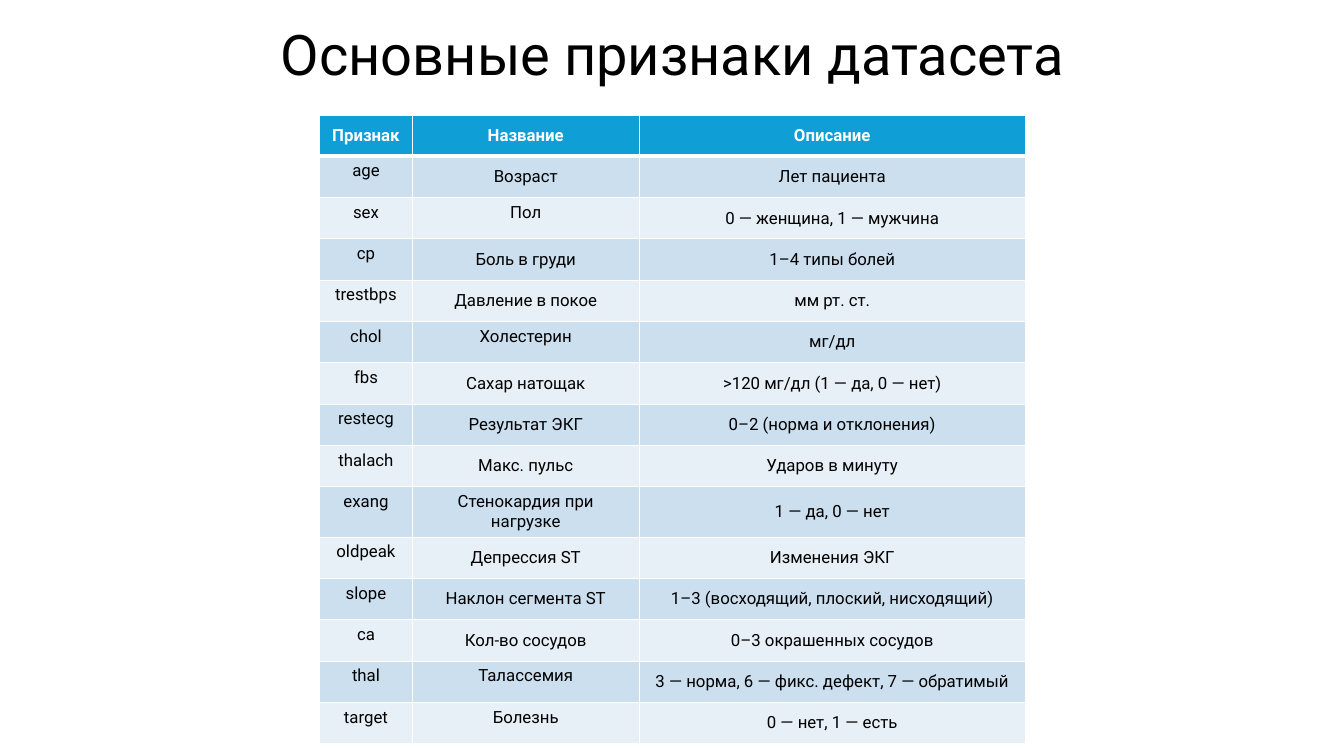
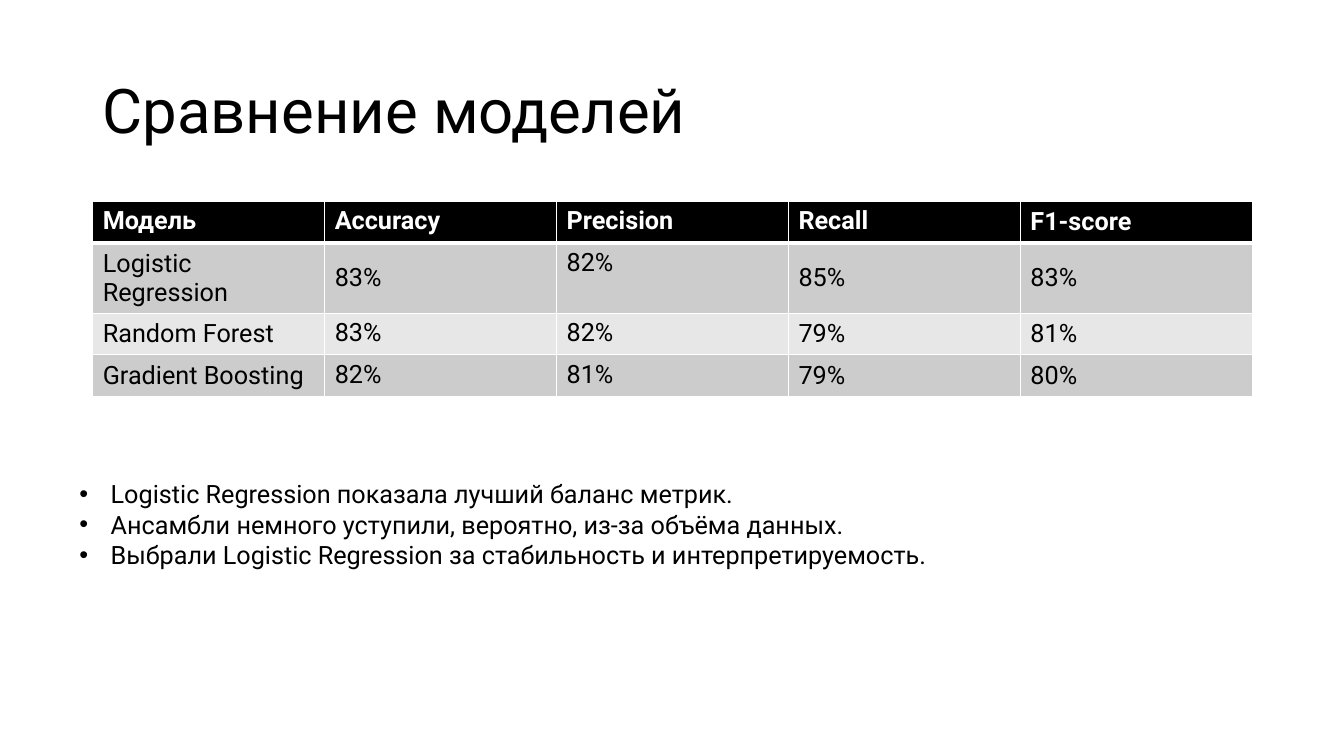
"""Build two slides: the dataset features and the model comparison."""
from dataclasses import dataclass

import lxml.etree
import pptx
import pptx.dml.color
import pptx.enum.text
import pptx.oxml.ns
import pptx.presentation
import pptx.slide
import pptx.table
import pptx.text.text
import pptx.util

Inches = pptx.util.Inches
Align = pptx.enum.text.PP_ALIGN
Anchor = pptx.enum.text.MSO_ANCHOR


@dataclass(frozen=True)
class Theme:
    font: str = "Roboto"
    text: str = "000000"
    inverse: str = "FFFFFF"
    title_size: int = 44
    compact_title_size: int = 40
    body_size: int = 18
    compact_size: int = 12
    border_width: float = 1
    header_rule_width: float = 3


@dataclass(frozen=True)
class Palette:
    header: str
    bands: tuple[str, str]


@dataclass(frozen=True)
class Box:
    left: float
    top: float
    width: float
    height: float

    def lengths(self) -> tuple[pptx.util.Length, ...]:
        return tuple(Inches(value) for value in (self.left, self.top, self.width, self.height))


@dataclass(frozen=True)
class Title:
    text: str
    top: float
    size: int
    align: Align


@dataclass(frozen=True)
class Grid:
    left: float
    top: float
    columns: tuple[float, ...]
    rows: tuple[tuple[str, ...], ...]
    top_anchored: frozenset[tuple[int, int]]
    size: int
    align: Align
    palette: Palette


THEME = Theme()
BLUE = Palette("0F9ED5", ("CCDFEF", "E7F0F7"))
GREY = Palette("000000", ("CCCCCC", "E7E7E7"))
ROW_HEIGHT = 0.41
CONTENT_LEFT = 0.92
CONTENT_WIDTH = 11.5
BULLET_INDENT = 0.31

FEATURE_ROWS = (
    ("Признак", "Название", "Описание"),
    ("age", "Возраст", "Лет пациента"),
    ("sex", "Пол", "0 — женщина, 1 — мужчина"),
    ("cp", "Боль в груди", "1–4 типы болей"),
    ("trestbps", "Давление в покое", "мм рт. ст."),
    ("chol", "Холестерин", "мг/дл"),
    ("fbs", "Сахар натощак", ">120 мг/дл (1 — да, 0 — нет)"),
    ("restecg", "Результат ЭКГ", "0–2 (норма и отклонения)"),
    ("thalach", "Макс. пульс", "Ударов в минуту"),
    ("exang", "Стенокардия при нагрузке", "1 — да, 0 — нет"),
    ("oldpeak", "Депрессия ST", "Изменения ЭКГ"),
    ("slope", "Наклон сегмента ST", "1–3 (восходящий, плоский, нисходящий)"),
    ("ca", "Кол-во сосудов", "0–3 окрашенных сосудов"),
    ("thal", "Талассемия", "3 — норма, 6 — фикс. дефект, 7 — обратимый"),
    ("target", "Болезнь", "0 — нет, 1 — есть"),
)
FEATURES = Grid(
    left=3.17,
    top=1.14,
    columns=(0.92, 2.25, 3.83),
    rows=FEATURE_ROWS,
    top_anchored=frozenset(
        [(row, 0) for row in range(1, len(FEATURE_ROWS))] + [(row, 1) for row in (2, 5, 13, 14)]
    ),
    size=THEME.compact_size,
    align=Align.CENTER,
    palette=BLUE,
)
MODELS = Grid(
    left=CONTENT_LEFT,
    top=2,
    columns=(CONTENT_WIDTH / 5,) * 5,
    rows=(
        ("Модель", "Accuracy", "Precision", "Recall", "F1-score"),
        ("Logistic Regression", "83%", "82%", "85%", "83%"),
        ("Random Forest", "83%", "82%", "79%", "81%"),
        ("Gradient Boosting", "82%", "81%", "79%", "80%"),
    ),
    top_anchored=frozenset(
        [(0, column) for column in range(4)] + [(1, 2), (2, 1), (2, 2), (3, 1), (3, 2)]
    ),
    size=THEME.body_size,
    align=Align.LEFT,
    palette=GREY,
)
CONCLUSIONS = (
    "Logistic Regression показала лучший баланс метрик.",
    "Ансамбли немного уступили, вероятно, из-за объёма данных.",
    "Выбрали Logistic Regression за стабильность и интерпретируемость.",
)


def rgb(color: str) -> pptx.dml.color.RGBColor:
    return pptx.dml.color.RGBColor.from_string(color)


def style_paragraph(
    paragraph: pptx.text.text._Paragraph,
    size: int,
    align: Align = Align.LEFT,
    color: str = THEME.text,
    bold: bool = False,
) -> None:
    paragraph.alignment = align
    paragraph.font.name = THEME.font
    paragraph.font.size = pptx.util.Pt(size)
    paragraph.font.bold = bold
    paragraph.font.color.rgb = rgb(color)


def add_text_frame(slide: pptx.slide.Slide, box: Box) -> pptx.text.text.TextFrame:
    frame = slide.shapes.add_textbox(*box.lengths()).text_frame
    frame.word_wrap = True
    return frame


def add_title(slide: pptx.slide.Slide, title: Title) -> None:
    frame = add_text_frame(slide, Box(CONTENT_LEFT, title.top, CONTENT_WIDTH, 1.45))
    frame.vertical_anchor = Anchor.MIDDLE
    frame.text = title.text
    paragraph = frame.paragraphs[0]
    paragraph.line_spacing = 0.9
    style_paragraph(paragraph, title.size, title.align)


def add_border(cell: pptx.table._Cell, side: str, width: float) -> None:
    name = pptx.oxml.ns.qn
    properties = cell._tc.get_or_add_tcPr()
    line = lxml.etree.SubElement(properties, name(f"a:ln{side}"), w=str(pptx.util.Pt(width)))
    fill = lxml.etree.SubElement(line, name("a:solidFill"))
    lxml.etree.SubElement(fill, name("a:srgbClr"), val=THEME.inverse)


def add_grid(slide: pptx.slide.Slide, grid: Grid) -> None:
    box = Box(grid.left, grid.top, sum(grid.columns), ROW_HEIGHT * len(grid.rows))
    table = slide.shapes.add_table(len(grid.rows), len(grid.columns), *box.lengths()).table
    table.horz_banding = False
    for column, width in zip(table.columns, grid.columns):
        column.width = Inches(width)
    for row_index, texts in enumerate(grid.rows):
        table.rows[row_index].height = Inches(ROW_HEIGHT)
        header = row_index == 0
        fill = grid.palette.header if header else grid.palette.bands[(row_index - 1) % 2]
        widths = dict.fromkeys("LRTB", THEME.border_width)
        if row_index < 2:
            widths["B" if header else "T"] = THEME.header_rule_width
        for column_index, text in enumerate(texts):
            cell = table.cell(row_index, column_index)
            for side, width in widths.items():
                add_border(cell, side, width)
            cell.fill.solid()
            cell.fill.fore_color.rgb = rgb(fill)
            top_anchored = (row_index, column_index) in grid.top_anchored
            cell.vertical_anchor = Anchor.TOP if top_anchored else Anchor.MIDDLE
            cell.text = text
            color = THEME.inverse if header else THEME.text
            style_paragraph(cell.text_frame.paragraphs[0], grid.size, grid.align, color, header)


def add_bullets(slide: pptx.slide.Slide, box: Box, texts: tuple[str, ...]) -> None:
    name = pptx.oxml.ns.qn
    frame = add_text_frame(slide, box)
    frame.text = "\n".join(texts)
    for paragraph in frame.paragraphs:
        properties = paragraph._p.get_or_add_pPr()
        properties.set("marL", str(Inches(BULLET_INDENT)))
        properties.set("indent", str(-Inches(BULLET_INDENT)))
        lxml.etree.SubElement(properties, name("a:buFont"), typeface="Arial")
        lxml.etree.SubElement(properties, name("a:buChar"), char="•")
        style_paragraph(paragraph, THEME.body_size)


def add_slide(
    presentation: pptx.presentation.Presentation, title: Title, grid: Grid
) -> pptx.slide.Slide:
    slide = presentation.slides.add_slide(presentation.slide_layouts[6])
    add_title(slide, title)
    add_grid(slide, grid)
    return slide


def main() -> None:
    presentation = pptx.Presentation()
    presentation.slide_width = Inches(13.33)
    presentation.slide_height = Inches(7.5)
    features_title = Title(
        "Основные признаки датасета", -0.16, THEME.compact_title_size, Align.CENTER
    )
    add_slide(presentation, features_title, FEATURES)
    models_title = Title("Сравнение моделей", 0.4, THEME.title_size, Align.LEFT)
    models_slide = add_slide(presentation, models_title, MODELS)
    add_bullets(models_slide, Box(0.69, 4.7, 11.73, 1.01), CONCLUSIONS)
    presentation.save("out.pptx")


if __name__ == "__main__":
    main()
